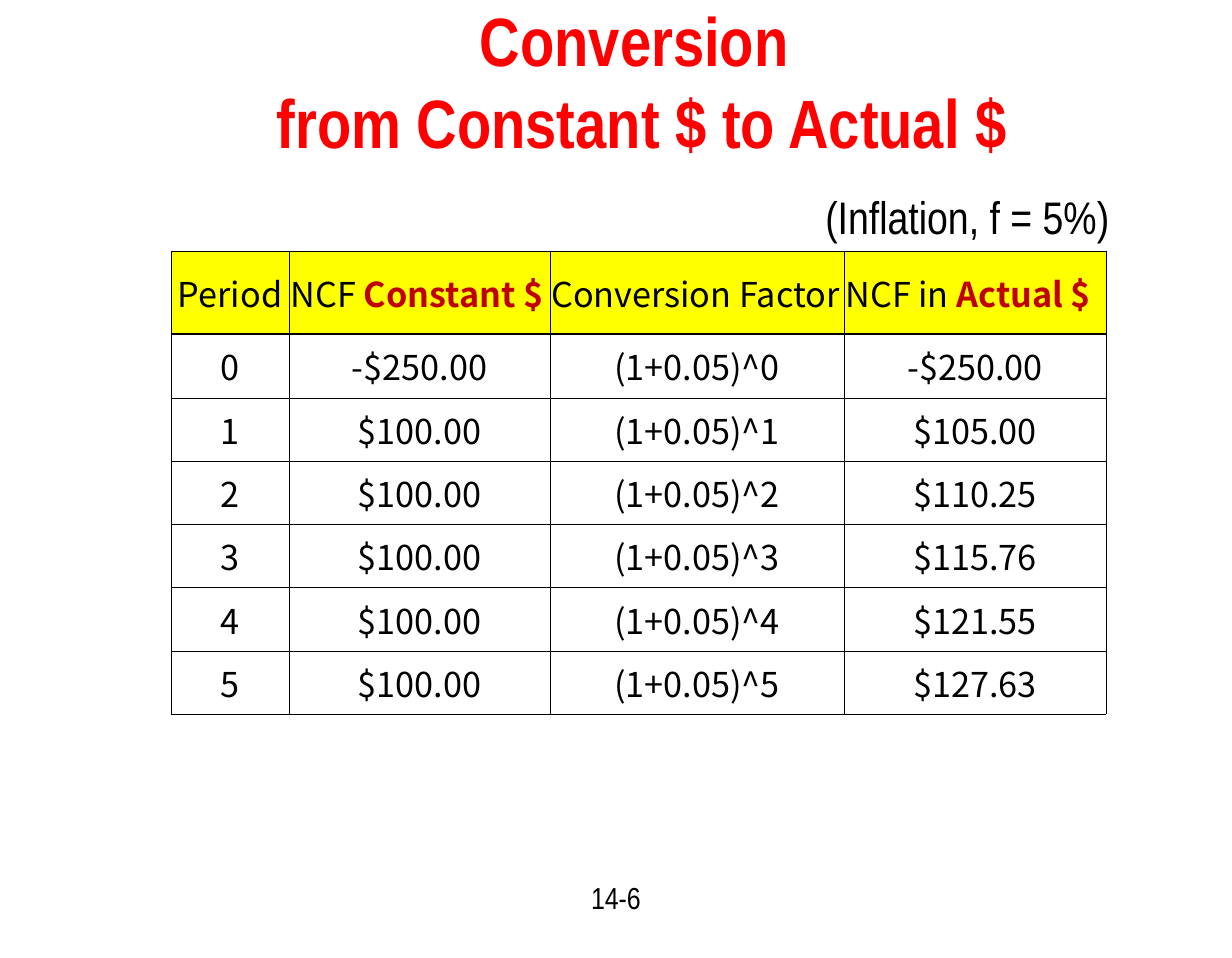
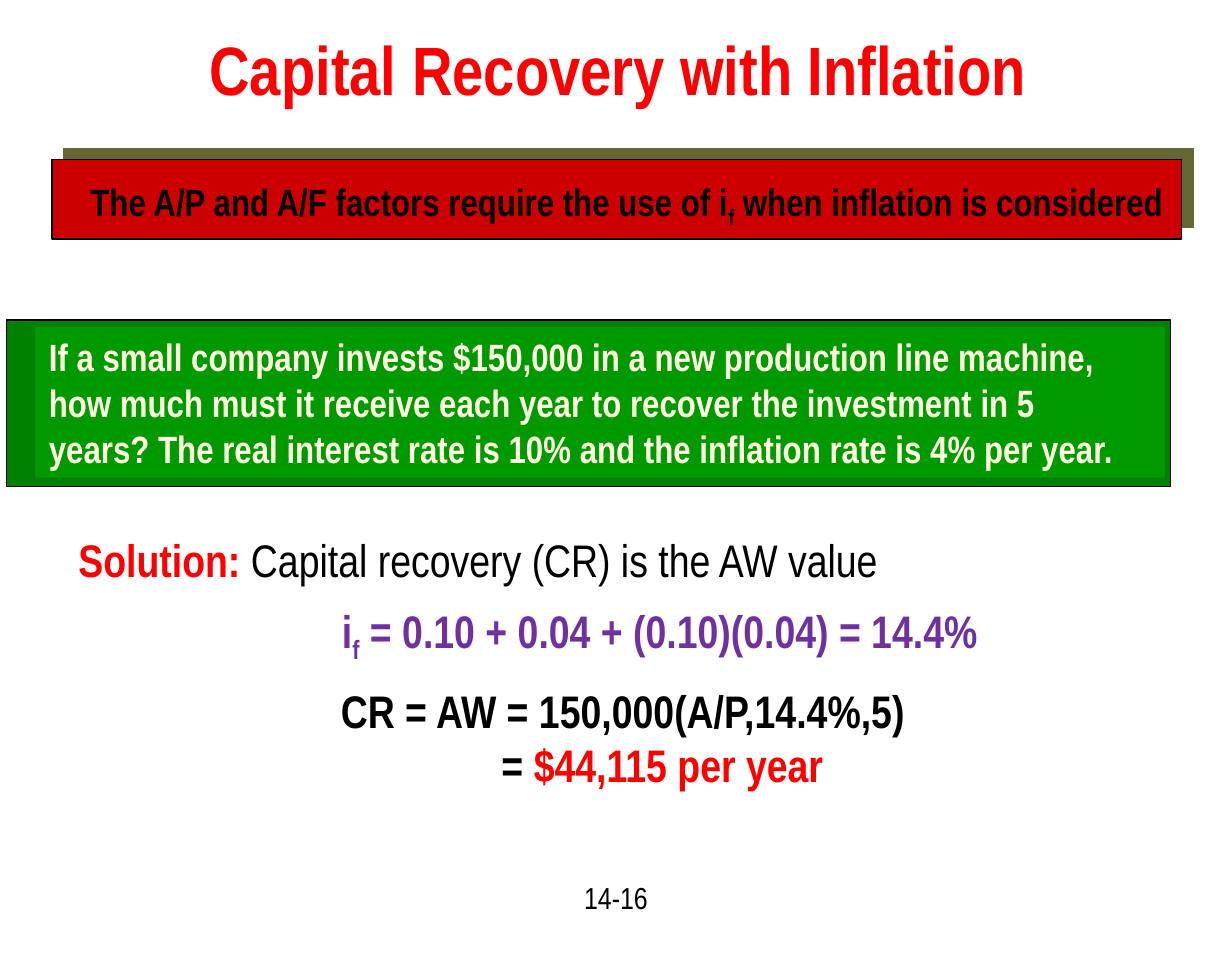
"""Build two slides on inflation: a conversion table and a capital recovery example."""
import pptx
import pptx.util
import pptx.dml.color
import pptx.enum.shapes
import pptx.enum.text
import pptx.oxml
import lxml.etree

Pt = pptx.util.Pt
ALIGN = pptx.enum.text.PP_ALIGN
ANCHOR = pptx.enum.text.MSO_ANCHOR
FIT = pptx.enum.text.MSO_AUTO_SIZE
NAMESPACE = "http://schemas.openxmlformats.org/drawingml/2006/main"

COLORS = {
    "black": "000000", "white": "FFFFFF", "red": "FF0000", "dark red": "C00000",
    "yellow": "FFFF00", "banner": "CC0000", "banner shadow": "666633",
    "frame": "008000", "panel": "009900", "cream": "FFFFE2", "purple": "7030A0",
}
TEXT_FONT, TABLE_FONT = "Arial Narrow", "Noto Sans CJK KR"
TITLE_STYLE = dict(size=36, bold=True, color="red", align=ALIGN.CENTER)
NUMBER_STYLE = dict(size=16, align=ALIGN.CENTER)
NUMBER_AREA = (280.8, 459, 86.4, 33.8)
SUBSCRIPT = {"baseline": -25000}
ACCENT = {"color": "dark red", "bold": True}

TABLE_HEADER = [
    [("Period", {})],
    [("NCF ", {}), ("Constant $", ACCENT)],
    [("Conversion Factor", {})],
    [("NCF in ", {}), ("Actual $", ACCENT)],
]
CONSTANT = ["-$250.00"] + ["$100.00"] * 5
ACTUAL = ["-$250.00", "$105.00", "$110.25", "$115.76", "$121.55", "$127.63"]
COLUMN_WIDTHS = [62.1, 137.2, 154.7, 137.9]
ROW_HEIGHTS = [43.7, 33.6] + [33.26] * 5
TABLE_CORNER = (90, 132.1)
THIN, HEADER_RULE = 0.25, 0.96

INFLATION = [[("(Inflation, f = 5%)", {})]]
RULE = [[("The A/P and A/F factors require the use of i", {}), ("f", SUBSCRIPT),
         (" when inflation is considered", {})]]
QUESTION = [
    [("If a small company invests $150,000 in a new production line machine,", {})],
    [("how much must it receive each year to recover the investment in 5", {})],
    [("years? The real interest rate is 10% and the inflation rate is 4% per year.", {})],
]
SOLUTION = [[("Solution: ", {"color": "red", "bold": True}),
             ("Capital recovery (CR) is the AW value", {})]]
RATE = [[("i", {}), ("f", SUBSCRIPT), (" = 0.10 + 0.04 + (0.10)(0.04) = 14.4%", {})]]
RECOVERY = [
    [("CR = AW = 150,000(A/P,14.4%,5)", {})],
    [("= ", {}), ("$44,115 per year", {"color": "red"})],
]
RESULT_INDENT = 84.5


def rgb(name):
    return pptx.dml.color.RGBColor.from_string(COLORS[name])


def write(frame, paragraphs, size, color="black", bold=False, align=ALIGN.LEFT, name=TEXT_FONT):
    for index, spans in enumerate(paragraphs):
        para = frame.add_paragraph() if index else frame.paragraphs[0]
        para.alignment = align
        para.font.name, para.font.size, para.font.bold = name, Pt(size), bold
        para.font.color.rgb = rgb(color)
        for text, change in spans:
            if "\n" in text:
                para.text = text.replace("\n", "\v")
                continue
            span = para.add_run()
            span.text = text
            if "color" in change:
                span.font.color.rgb = rgb(change["color"])
            if "bold" in change:
                span.font.bold = change["bold"]
            if "baseline" in change:
                span._r.get_or_add_rPr().set("baseline", str(change["baseline"]))


def add_text(page, area, paragraphs, wrap=True, **style):
    box = page.shapes.add_textbox(*map(Pt, area))
    box.text_frame.word_wrap = wrap
    write(box.text_frame, paragraphs, **style)
    return box


def add_panel(page, area, fill, line=None):
    panel = page.shapes.add_shape(pptx.enum.shapes.MSO_SHAPE.RECTANGLE, *map(Pt, area))
    panel.shadow.inherit = False
    panel.fill.solid()
    panel.fill.fore_color.rgb = rgb(fill)
    if line:
        panel.line.color.rgb = rgb(line)
        panel.line.width = Pt(0.75)
    else:
        panel.line.fill.background()
    return panel


def add_hard_shadow(shape, color, distance, degrees):
    effects = shape._element.spPr.find(f"{{{NAMESPACE}}}effectLst")
    shadow = lxml.etree.SubElement(
        effects, f"{{{NAMESPACE}}}outerShdw", blurRad="0", dist=str(Pt(distance)),
        dir=str(degrees * 60000), algn="ctr", rotWithShape="0")
    lxml.etree.SubElement(shadow, f"{{{NAMESPACE}}}srgbClr", val=COLORS[color])


def add_page(deck, title, title_area, number):
    page = deck.slides.add_slide(deck.slide_layouts[5])
    heading = page.shapes.title
    heading.left, heading.top, heading.width, heading.height = map(Pt, title_area)
    heading.text_frame.auto_size = FIT.NONE
    heading.text_frame.vertical_anchor = ANCHOR.MIDDLE
    write(heading.text_frame, [[(title, {})]], **TITLE_STYLE)
    add_text(page, NUMBER_AREA, [[(number, {})]], **NUMBER_STYLE)
    return page


def format_cell(cell, spans, fill, align, edges):
    cell.margin_left = cell.margin_right = Pt(0.72)
    cell.vertical_anchor = ANCHOR.MIDDLE
    write(cell.text_frame, [spans], size=18, align=align, name=TABLE_FONT)
    for side, width in zip("LRTB", edges):
        cell._tc.get_or_add_tcPr().append(pptx.oxml.parse_xml(
            f'<a:ln{side} xmlns:a="{NAMESPACE}" w="{Pt(width)}"><a:solidFill>'
            f'<a:srgbClr val="{COLORS["black"]}"/></a:solidFill></a:ln{side}>'))
    cell.fill.solid()
    cell.fill.fore_color.rgb = rgb(fill)


def add_conversion_table(page):
    body = [[[(text, {})] for text in (str(period), constant, f"(1+0.05)^{period}", actual)]
            for period, (constant, actual) in enumerate(zip(CONSTANT, ACTUAL))]
    rows = [TABLE_HEADER] + body
    area = (*TABLE_CORNER, sum(COLUMN_WIDTHS), sum(ROW_HEIGHTS))
    table = page.shapes.add_table(len(rows), len(COLUMN_WIDTHS), *map(Pt, area)).table
    table.first_row = table.horz_banding = False
    for column, width in zip(table.columns, COLUMN_WIDTHS):
        column.width = Pt(width)
    for row, height in zip(table.rows, ROW_HEIGHTS):
        row.height = Pt(height)
    for r, row in enumerate(rows):
        edges = (THIN, THIN, HEADER_RULE if r == 1 else THIN, HEADER_RULE if r == 0 else THIN)
        for c, spans in enumerate(row):
            align = ALIGN.LEFT if r == 0 and c else ALIGN.CENTER
            format_cell(table.cell(r, c), spans, "white" if r else "yellow", align, edges)


def add_conversion_page(deck):
    page = add_page(deck, "Conversion \nfrom Constant $ to Actual $", (73.8, 6.2, 527.8, 72), "14-6")
    add_conversion_table(page)
    add_text(page, (427, 95.8, 185, 36), INFLATION, size=24)


def add_recovery_page(deck):
    page = add_page(deck, "Capital Recovery with Inflation", (33.5, 5.8, 583.2, 59.8), "14-16")
    banner = add_panel(page, (27.4, 84, 594, 41.8), "banner", "black")
    add_hard_shadow(banner, "banner shadow", 8.5, 315)
    add_text(page, (40.5, 90.3, 590, 34.6), RULE, size=20, bold=True)
    add_panel(page, (3.6, 168.3, 612, 87.8), "frame", "black")
    question = add_panel(page, (18.6, 172.1, 594, 79.2), "panel")
    question.text_frame.word_wrap = True
    question.text_frame.vertical_anchor = ANCHOR.TOP
    write(question.text_frame, QUESTION, size=20, color="cream", bold=True)
    add_text(page, (34.2, 276.2, 440, 36), SOLUTION, size=24)
    add_text(page, (172.8, 313.5, 365, 40.3), RATE, size=24, color="purple", bold=True)
    recovery = add_text(page, (172.2, 355.5, 330, 64.8), RECOVERY, size=24, bold=True)
    result = recovery.text_frame.paragraphs[1]
    result._p.get_or_add_pPr().set("marL", str(Pt(RESULT_INDENT)))


def main():
    deck = pptx.Presentation()
    deck.slide_width, deck.slide_height = Pt(648), Pt(504)
    add_conversion_page(deck)
    add_recovery_page(deck)
    deck.save("out.pptx")


if __name__ == "__main__":
    main()
